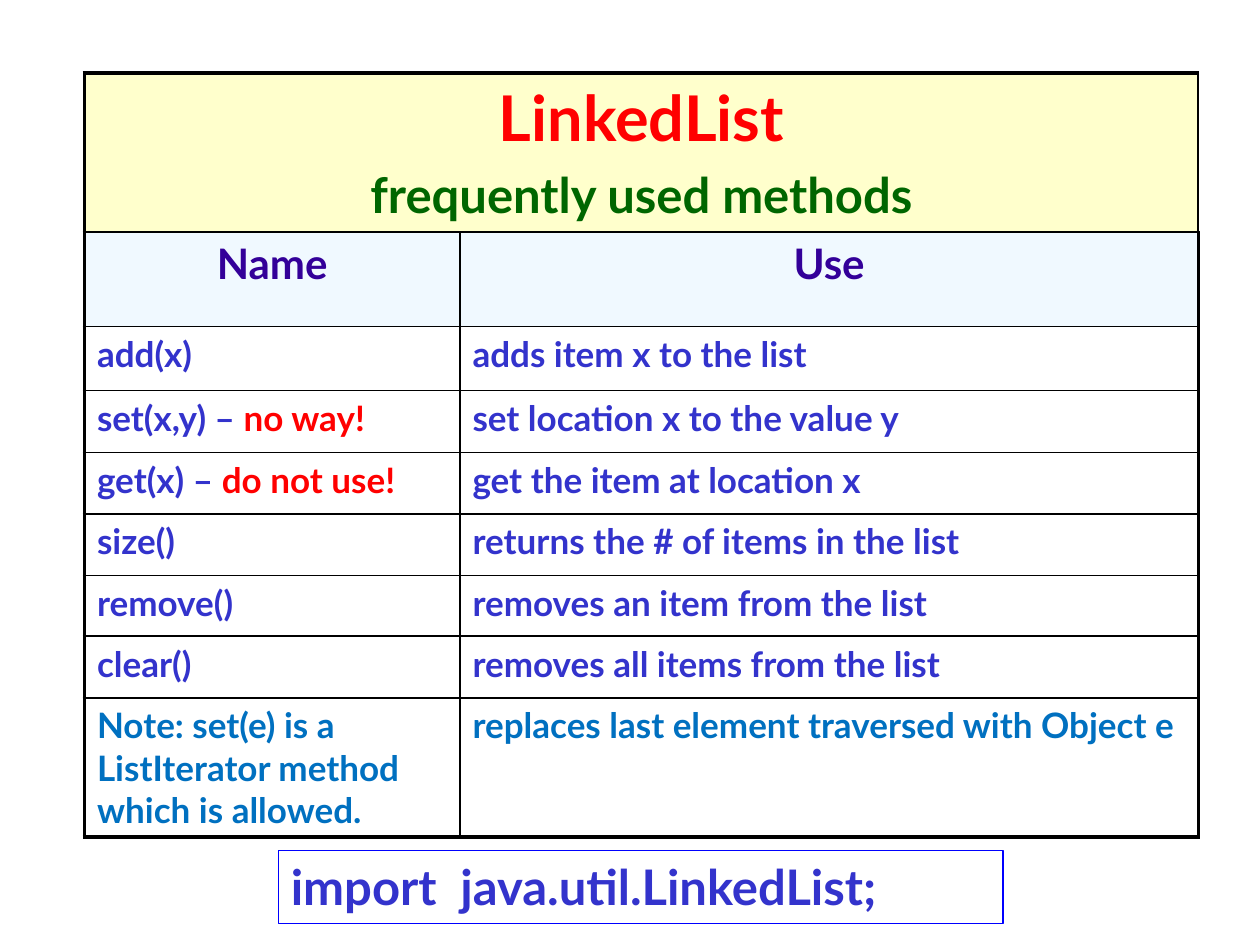
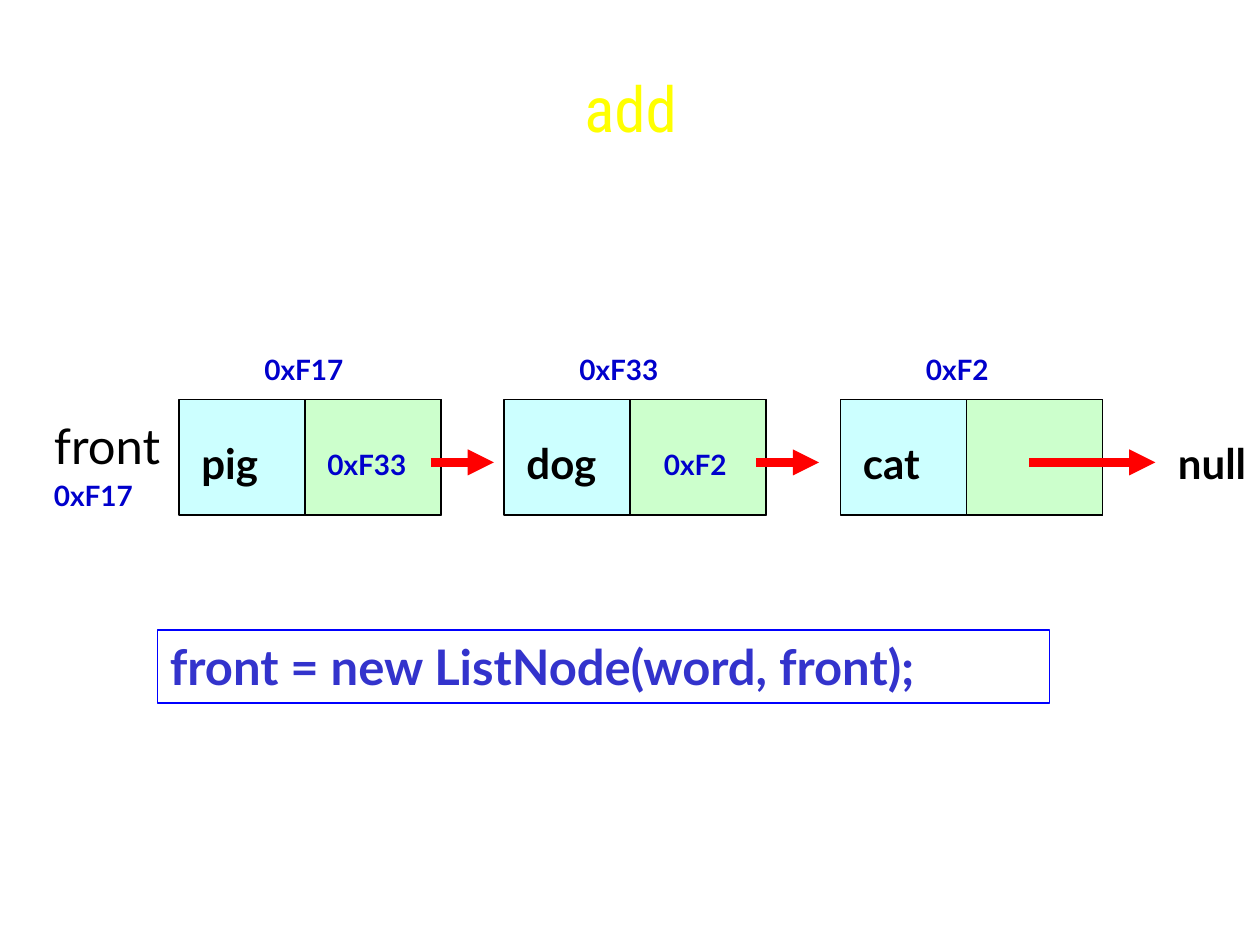
from dataclasses import dataclass
from typing import Optional

from lxml.etree import SubElement
from pptx import Presentation
from pptx.dml.color import RGBColor
from pptx.enum.shapes import MSO_CONNECTOR, MSO_SHAPE
from pptx.enum.text import MSO_ANCHOR, PP_ALIGN
from pptx.oxml.ns import qn
from pptx.util import Inches, Pt

BODY_FONT = "Lato"
TITLE_FONT = "Roboto Condensed"
BLACK, WHITE, RED, YELLOW = "000000", "FFFFFF", "FF0000", "FFFF00"
CODE_BLUE, FRAME_BLUE, ADDRESS_BLUE = "3333CC", "0000FF", "0000CC"
NOTE_BLUE, HEADING_VIOLET, SUBTITLE_GREEN = "0070C0", "330099", "006600"
BANNER_FILL, HEADING_FILL = "FFFFCC", "F0F9FF"
WORD_FILL, LINK_FILL = "CCFFFF", "CCFFCC"

NODE_TOP, NODE_WIDTH, NODE_HEIGHT = 3.17, 2.08, 0.92
LINK_OFFSET = 1
ARROW_Y = 3.67
OUTER_BORDER, INNER_BORDER = 2.25, 1


@dataclass(frozen=True)
class Run:
    text: str
    size: float = 20
    color: str = CODE_BLUE
    bold: bool = True
    font: str = BODY_FONT


@dataclass(frozen=True)
class Method:
    name: str
    use: str
    height: float = 0.49
    warning: str = ""
    color: str = CODE_BLUE


@dataclass(frozen=True)
class Node:
    left: float
    word: str
    address: str
    address_left: float
    arrow_start: float
    arrow_length: float
    link: str = ""
    link_left: float = 0


METHODS = [
    Method("add(x)", "adds item x to the list", 0.51),
    Method("set(x,y) – ", "set location x to the value y", warning="no way!"),
    Method("get(x) – ", "get the item at location x", warning="do not use!"),
    Method("size()", "returns the # of items in the list"),
    Method("remove()", "removes an item from the list", 0.48),
    Method("clear()", "removes all items from the list"),
    Method("Note: set(e) is a ListIterator method which is allowed.",
           "replaces last element traversed with Object e", 1.1, color=NOTE_BLUE),
]

NODES = [
    Node(1.42, "pig", "0xF17", 2, 3.42, 0.5, "0xF33", 2.5),
    Node(4, "dog", "0xF33", 4.5, 6, 0.5, "0xF2", 5.17),
    Node(6.67, "cat", "0xF2", 7.25, 8.17, 1),
]


def rgb(color: str) -> RGBColor:
    return RGBColor.from_string(color)


def write(paragraph, runs: list[Run], align=PP_ALIGN.LEFT) -> None:
    paragraph.alignment = align
    for item in runs:
        run = paragraph.add_run()
        run.text = item.text
        run.font.name = item.font
        run.font.size = Pt(item.size)
        run.font.bold = item.bold
        run.font.color.rgb = rgb(item.color)


def add_label(slide, left: float, top: float, width: float, height: float,
              run: Run, align=PP_ALIGN.LEFT) -> None:
    frame = slide.shapes.add_textbox(
        Inches(left), Inches(top), Inches(width), Inches(height)).text_frame
    frame.word_wrap = True
    write(frame.paragraphs[0], [run], align)


def add_address(slide, left: float, top: float, address: str) -> None:
    add_label(slide, left, top, 1.08, 0.37, Run(address, 16, ADDRESS_BLUE))


def add_word(slide, left: float, word: str, width: float = 0.92) -> None:
    add_label(slide, left, 3.42, width, 0.5, Run(word, 24, BLACK))


def add_box(slide, left: float, top: float, width: float, height: float,
            fill: Optional[str], line: str):
    box = slide.shapes.add_shape(
        MSO_SHAPE.RECTANGLE, Inches(left), Inches(top), Inches(width), Inches(height))
    box.shadow.inherit = False
    if fill:
        box.fill.solid()
        box.fill.fore_color.rgb = rgb(fill)
    else:
        box.fill.background()
    box.line.color.rgb = rgb(line)
    box.line.width = Pt(1)
    return box


def add_code(slide, left: float, top: float, width: float, code: str) -> None:
    """Add a framed line of code."""
    frame = add_box(slide, left, top, width, 0.58, None, FRAME_BLUE).text_frame
    frame.word_wrap = True
    frame.vertical_anchor = MSO_ANCHOR.TOP
    write(frame.paragraphs[0], [Run(code, 28)])


def add_arrow(slide, start: float, length: float) -> None:
    arrow = slide.shapes.add_connector(
        MSO_CONNECTOR.STRAIGHT, Inches(start), Inches(ARROW_Y),
        Inches(start + length), Inches(ARROW_Y))
    arrow.line.color.rgb = rgb(RED)
    arrow.line.width = Pt(5)
    SubElement(arrow.line._get_or_add_ln(), qn("a:tailEnd"), type="triangle")
    SubElement(arrow._element.spPr, qn("a:effectLst"))


def style_cell(cell, fill: str, borders: dict[str, float]) -> None:
    """Set the borders, keyed by side, before the fill, as the schema orders them."""
    properties = cell._tc.get_or_add_tcPr()
    for side, width in borders.items():
        line = SubElement(properties, qn(f"a:ln{side}"), w=str(Pt(width)))
        SubElement(SubElement(line, qn("a:solidFill")), qn("a:srgbClr"), val=BLACK)
    cell.fill.solid()
    cell.fill.fore_color.rgb = rgb(fill)


def add_method_table(slide) -> None:
    heights = [1.26, 0.75] + [method.height for method in METHODS]
    widths = [2.98, 5.86]
    table = slide.shapes.add_table(
        len(heights), len(widths), Inches(0.67), Inches(0.58),
        Inches(sum(widths)), Inches(sum(heights))).table
    table.first_row = table.horz_banding = False
    for column, width in zip(table.columns, widths):
        column.width = Inches(width)
    for row, height in zip(table.rows, heights):
        row.height = Inches(height)

    last_row, last_column = len(heights) - 1, len(widths) - 1
    fills = [BANNER_FILL, HEADING_FILL] + [WHITE] * len(METHODS)
    for r, fill in enumerate(fills):
        for c in range(len(widths)):
            at_edge = {"L": c == 0, "R": c == last_column,
                       "T": r == 0, "B": r == last_row}
            style_cell(table.cell(r, c), fill, {
                side: OUTER_BORDER if edge else INNER_BORDER
                for side, edge in at_edge.items()})

    banner = table.cell(0, 0)
    banner.merge(table.cell(0, last_column))
    write(banner.text_frame.paragraphs[0], [Run("LinkedList", 36, RED)], PP_ALIGN.CENTER)
    subtitle = banner.text_frame.add_paragraph()
    subtitle.space_before = Pt(5.6)
    write(subtitle, [Run("frequently used methods", 28, SUBTITLE_GREEN)], PP_ALIGN.CENTER)
    for c, heading in enumerate(["Name", "Use"]):
        write(table.cell(1, c).text_frame.paragraphs[0],
              [Run(heading, 24, HEADING_VIOLET)], PP_ALIGN.CENTER)
    for r, method in enumerate(METHODS, start=2):
        name = [Run(method.name, color=method.color)]
        if method.warning:
            name.append(Run(method.warning, color=RED))
        for c, runs in enumerate([name, [Run(method.use, color=method.color)]]):
            write(table.cell(r, c).text_frame.paragraphs[0], runs)


def add_node(slide, node: Node) -> None:
    """Add a list node: word half, link half, arrow, and addresses."""
    add_box(slide, node.left, NODE_TOP, NODE_WIDTH, NODE_HEIGHT, WORD_FILL, BLACK)
    add_box(slide, node.left + LINK_OFFSET, NODE_TOP, NODE_WIDTH - LINK_OFFSET,
            NODE_HEIGHT, LINK_FILL, BLACK)
    add_arrow(slide, node.arrow_start, node.arrow_length)
    add_word(slide, node.left + 0.08, node.word)
    add_address(slide, node.address_left, 2.75, node.address)
    if node.link:
        add_address(slide, node.link_left, 3.5, node.link)


def build_methods_slide(slide) -> None:
    add_method_table(slide)
    add_code(slide, 2.21, 6.75, 5.75, "import  java.util.LinkedList;")


def build_add_slide(slide) -> None:
    for node in NODES:
        add_node(slide, node)
    add_word(slide, 9.25, "null", 1.08)
    add_label(slide, 0.33, 3.25, 1.08, 0.57, Run("front", 28, BLACK, bold=False))
    add_address(slide, 0.33, 3.75, NODES[0].address)
    add_code(slide, 1.25, 5, 7.08, "front = new ListNode(word, front);")
    add_label(slide, 1.42, 0.5, 7.17, 1.17,
              Run("add", 36, YELLOW, bold=False, font=TITLE_FONT), PP_ALIGN.CENTER)


def main() -> None:
    presentation = Presentation()
    presentation.slide_width, presentation.slide_height = Inches(10), Inches(7.5)
    blank = presentation.slide_layouts[6]
    for build in (build_methods_slide, build_add_slide):
        build(presentation.slides.add_slide(blank))
    presentation.save("out.pptx")


if __name__ == "__main__":
    main()
